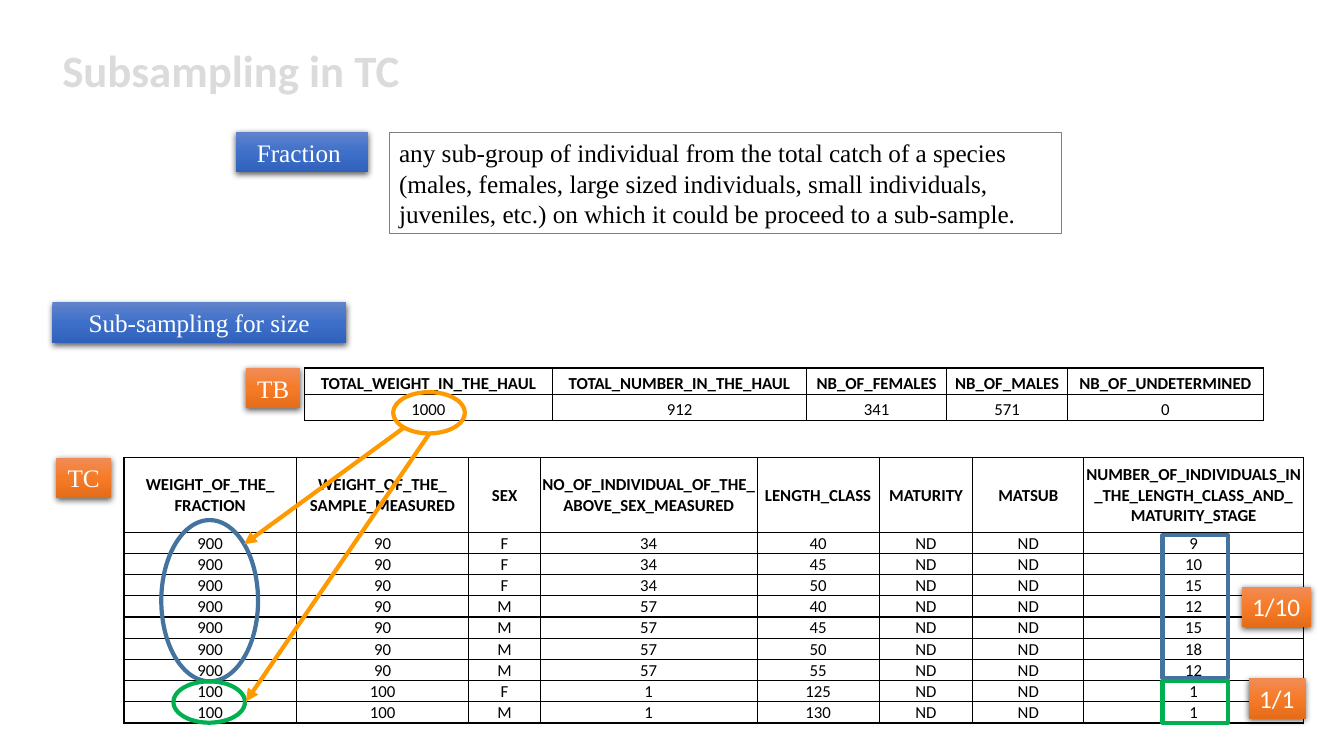
"""Build the slide on subsampling in TC."""
import pptx
import pptx.util
import pptx.dml.color
import pptx.enum.shapes
import pptx.enum.text
import pptx.oxml
import pptx.oxml.ns

Inches, Pt = pptx.util.Inches, pptx.util.Pt
SHAPE = pptx.enum.shapes.MSO_SHAPE
ALIGN = pptx.enum.text.PP_ALIGN
ANCHOR = pptx.enum.text.MSO_ANCHOR
TIMES, CALIBRI = "Times New Roman", "Calibri"
BLUES = ["6183CB", "3E70CA", "3062BB"]
ORANGES = ["F18C57", "F67B28", "E56C19"]
STEEL, GREEN, AMBER = "43739E", "00B050", "FF9900"

TB_COLS = [2.46, 2.52, 1.39, 1.2, 1.94]
TB_ROWS = [
    ["TOTAL_WEIGHT_IN_THE_HAUL", "TOTAL_NUMBER_IN_THE_HAUL", "NB_OF_FEMALES",
     "NB_OF_MALES", "NB_OF_UNDETERMINED"],
    [1000, 912, 341, 571, 0],
]
TC_COLS = [1.71, 1.71, 0.71, 2.15, 1.21, 0.93, 1.1, 2.18]
TC_HEAD = [
    "WEIGHT_OF_THE_\nFRACTION", "WEIGHT_OF_THE_\nSAMPLE_MEASURED", "SEX",
    "NO_OF_INDIVIDUAL_OF_THE_ABOVE_SEX_MEASURED", "LENGTH_CLASS", "MATURITY", "MATSUB",
    "NUMBER_OF_INDIVIDUALS_IN_THE_LENGTH_CLASS_AND_\nMATURITY_STAGE",
]
TC_GROUPS = [
    (900, 90, "F", 34, [(40, 9), (45, 10), (50, 15)]),
    (900, 90, "M", 57, [(40, 12), (45, 15), (50, 18), (55, 12)]),
    (100, 100, "F", 1, [(125, 1)]),
    (100, 100, "M", 1, [(130, 1)]),
]


def rgb(value):
    """Return the colour for a hex string."""
    return pptx.dml.color.RGBColor.from_string(value)


def xml(text):
    """Return a DrawingML element from its markup."""
    return pptx.oxml.parse_xml(text.replace(" ", f" {pptx.oxml.ns.nsdecls('a')} ", 1))


def style(tf, size, font, color, bold=False, align=ALIGN.LEFT):
    """Set the font and alignment of every paragraph."""
    for p in tf.paragraphs:
        p.alignment = align
        p.font.size, p.font.name, p.font.bold = Pt(size), font, bold
        p.font.color.rgb = rgb(color)


def add_title(s, text):
    """Add the slide title."""
    sp = s.shapes.add_textbox(Inches(0.52), Inches(0.37), Inches(3.64), Inches(0.64))
    sp.text_frame.word_wrap = True
    sp.text_frame.text = text
    style(sp.text_frame, 32, CALIBRI, "DBDBDB", bold=True)


def add_box(s, kind, box):
    """Add a preset shape without a shadow."""
    sp = s.shapes.add_shape(kind, *map(Inches, box))
    sp.shadow.inherit = False
    return sp


def add_definition(s, box, text):
    """Add the outlined box with a definition."""
    sp = add_box(s, SHAPE.RECTANGLE, box)
    sp.fill.solid()
    sp.fill.fore_color.rgb = rgb("FFFFFF")
    sp.line.color.rgb = rgb("7F7F7F")
    sp.line.width = Pt(0.75)
    sp.text_frame.text = text
    style(sp.text_frame, 18, TIMES, "000000")


def add_label(s, box, text, shades, font=TIMES, align=ALIGN.CENTER, wrap=True):
    """Add a gradient label with a soft shadow."""
    sp = add_box(s, SHAPE.RECTANGLE, box)
    sp.line.fill.background()
    stops = "".join(f'<a:gs pos="{i * 50000}"><a:srgbClr val="{c}"/></a:gs>'
                    for i, c in enumerate(shades))
    spPr = sp._element.spPr
    spPr.insert(2, xml(f'<a:gradFill rotWithShape="1"><a:gsLst>{stops}</a:gsLst>'
                       '<a:lin ang="5400000" scaled="0"/></a:gradFill>'))
    spPr.find(pptx.oxml.ns.qn("a:effectLst")).append(xml(
        '<a:outerShdw blurRad="57150" dist="19050" dir="5400000" algn="ctr" rotWithShape="0">'
        '<a:srgbClr val="000000"><a:alpha val="63000"/></a:srgbClr></a:outerShdw>'))
    tf = sp.text_frame
    tf.word_wrap = wrap
    tf.text = text
    style(tf, 18, font, "FFFFFF", align=align)


def add_marker(s, kind, box, color):
    """Add an unfilled outline around some values."""
    sp = add_box(s, kind, box)
    sp.fill.background()
    sp.line.color.rgb = rgb(color)
    sp.line.width = Pt(3)


def add_arrow(s, start, end):
    """Add an arrow between two points."""
    c = s.shapes.add_connector(pptx.enum.shapes.MSO_CONNECTOR.STRAIGHT,
                               *map(Inches, start + end))
    c.line.color.rgb = rgb(AMBER)
    c.line.width = Pt(3)
    spPr = c._element.spPr
    spPr.find(pptx.oxml.ns.qn("a:ln")).append(xml('<a:tailEnd type="triangle"/>'))
    spPr.append(xml("<a:effectLst />"))


def fill_cell(cell, text, bold, anchor):
    """Write one bordered cell."""
    cell.text = str(text)
    cell.vertical_anchor = anchor
    cell.margin_left = cell.margin_right = cell.margin_top = Inches(0.01)
    cell.margin_bottom = 0
    cell.fill.background()
    style(cell.text_frame, 12, CALIBRI, "000000", bold, ALIGN.CENTER)
    for i, side in enumerate("LRTB"):
        cell._tc.tcPr.insert(i, xml(
            f'<a:ln{side} w="12700"><a:solidFill><a:srgbClr val="000000"/></a:solidFill>'
            f'</a:ln{side}>'))


def add_grid(s, left, top, widths, heights, rows, head_anchor):
    """Add a bordered table with a bold first row."""
    box = left, top, sum(widths), sum(heights)
    table = s.shapes.add_table(len(rows), len(widths), *map(Inches, box)).table
    table.first_row = table.horz_banding = False
    for column, width in zip(table.columns, widths):
        column.width = Inches(width)
    for i, (row, height) in enumerate(zip(rows, heights)):
        table.rows[i].height = Inches(height)
        for j, text in enumerate(row):
            anchor = ANCHOR.BOTTOM if i else head_anchor
            fill_cell(table.cell(i, j), text, i == 0, anchor)


def main():
    """Build and save the slide."""
    prs = pptx.Presentation()
    prs.slide_width, prs.slide_height = Inches(13.33), Inches(7.5)
    s = prs.slides.add_slide(prs.slide_layouts[6])

    add_title(s, "Subsampling in TC")
    add_definition(s, (3.86, 1.31, 6.67, 1.01),
                   "any sub-group of individual from the total catch of a species (males, "
                   "females, large sized individuals, small individuals, juveniles, etc.) "
                   "on which it could be proceed to a sub-sample.")
    add_label(s, (2.34, 1.31, 1.31, 0.4), "Fraction ", BLUES)
    add_label(s, (0.52, 3, 2.91, 0.4), "Sub-sampling for size", BLUES)

    tc_rows = [TC_HEAD] + [[weight, sample, sex, number, length, "ND", "ND", count]
                           for weight, sample, sex, number, classes in TC_GROUPS
                           for length, count in classes]
    add_grid(s, 1.23, 4.54, TC_COLS, [0.74] + [0.21] * 9, tc_rows, ANCHOR.MIDDLE)
    add_grid(s, 3.02, 3.65, TB_COLS, [0.26] * 2, TB_ROWS, ANCHOR.BOTTOM)
    add_label(s, (2.44, 3.65, 0.54, 0.4), "TB ", ORANGES)
    add_label(s, (0.56, 4.54, 0.54, 0.4), "TC ", ORANGES)

    add_marker(s, SHAPE.OVAL, (1.6, 5.16, 0.96, 1.6), STEEL)
    add_marker(s, SHAPE.OVAL, (1.72, 6.76, 0.71, 0.41), GREEN)
    add_marker(s, SHAPE.OVAL, (3.9, 3.89, 0.71, 0.41), AMBER)
    add_arrow(s, (4.01, 4.24), (2.42, 5.4))
    add_arrow(s, (4.26, 4.3), (2.44, 6.96))
    add_marker(s, SHAPE.RECTANGLE, (11.53, 5.31, 0.65, 1.42), STEEL)
    add_marker(s, SHAPE.RECTANGLE, (11.53, 6.76, 0.65, 0.41), GREEN)
    add_label(s, (12.32, 5.82, 0.68, 0.4), "1/10", ORANGES, CALIBRI, ALIGN.LEFT, False)
    add_label(s, (12.39, 6.73, 0.56, 0.4), "1/1", ORANGES, CALIBRI, ALIGN.LEFT, False)
    prs.save("out.pptx")


if __name__ == "__main__":
    main()
